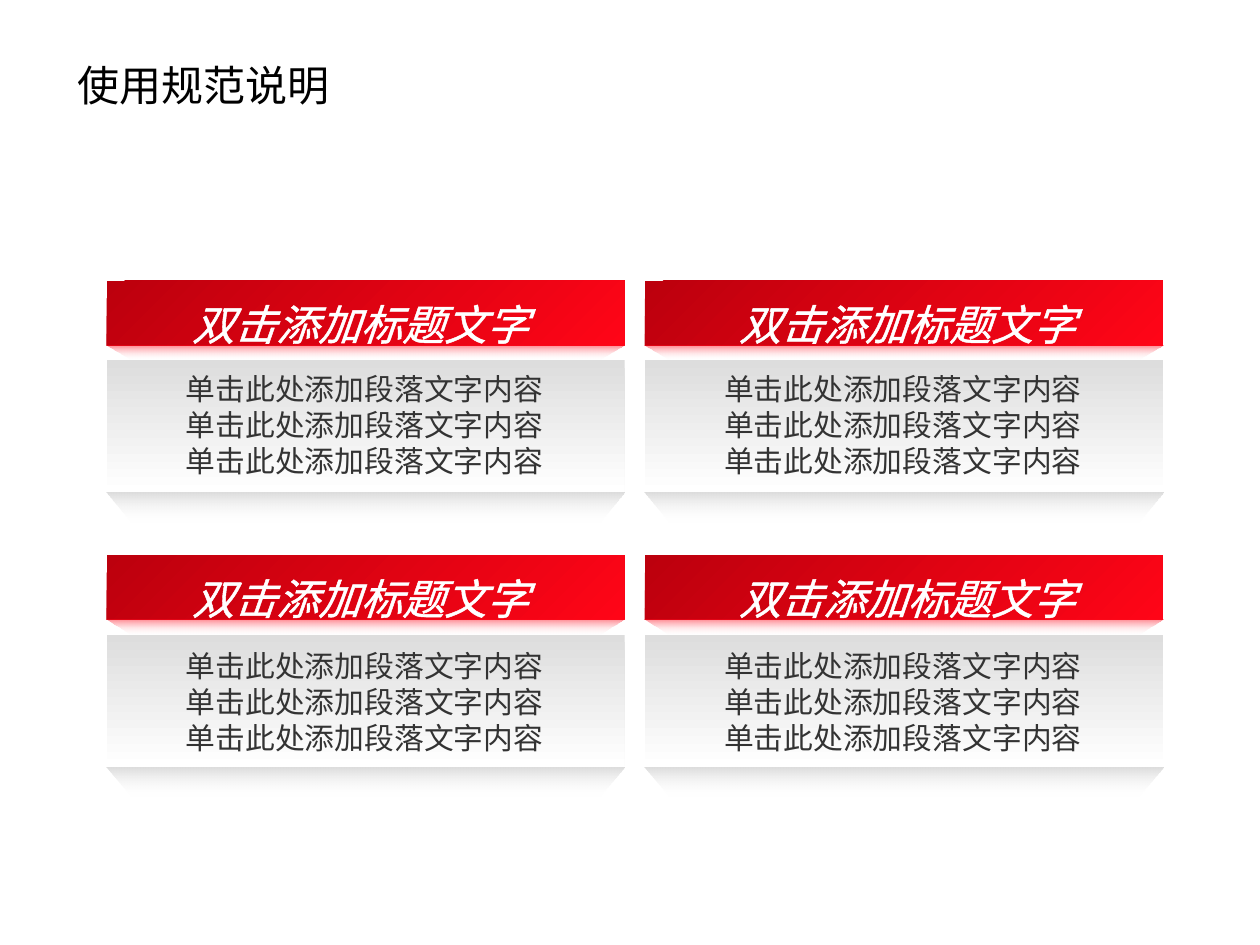
from lxml import etree
from pptx import Presentation
from pptx.dml.color import RGBColor
from pptx.enum import shapes, text
from pptx.oxml import ns
from pptx.util import Pt

CARD_W, HEADER_H, BODY_H = 296, 37, 75.8
BODY_TOP, EDGE = 45.4, 14.6
COLUMNS = [(61, 97.9), (368.6, 410.4)]  # card left, heading left
ROWS = [(160.5, 213.1), (317.2, 371.5)]  # card top, paragraph top
GREY, WHITE, RED, DARK_RED = "DDDDDD", "FFFFFF", "FF0517", "BC000D"
CJK = "Noto Sans CJK SC"


def color(value):
    return RGBColor.from_string(value)


def add_child(parent, tag, **attrs):
    return etree.SubElement(parent, ns.qn(tag), attrs)


def fill_gradient(sp, colors, angle, alphas=(100, 100)):
    """Fill from the first to the second colour, angle clockwise, alphas in percent."""
    sp.shadow.inherit = False
    sp.line.fill.background()
    sp.fill.gradient()
    sp.fill.gradient_angle = 360 - angle
    for stop, value, position in zip(sp.fill.gradient_stops, colors, (0, 1)):
        stop.color.rgb = color(value)
        stop.position = position
    for clr, alpha in zip(sp._element.spPr.iter(ns.qn("a:srgbClr")), alphas):
        if alpha < 100:
            add_child(clr, "a:alpha", val=str(alpha * 1000))


def add_panel(s, x, y, h, colors, angle):
    sp = s.shapes.add_shape(shapes.MSO_SHAPE.RECTANGLE,
                            Pt(x), Pt(y), Pt(CARD_W), Pt(h))
    fill_gradient(sp, colors, angle)


def add_reflection(s, x, y, h, value, alpha):
    """Trapezoid below a panel that fades out downwards."""
    right = x + CARD_W
    builder = s.shapes.build_freeform(Pt(x), Pt(y))
    builder.add_line_segments([(Pt(x + EDGE), Pt(y + h)),
                               (Pt(right - EDGE), Pt(y + h)),
                               (Pt(right), Pt(y))])
    fill_gradient(builder.convert_to_shape(), (value, WHITE), 90, (alpha, 0))


def add_rule(s, x, y):
    line = s.shapes.add_connector(shapes.MSO_CONNECTOR.STRAIGHT,
                                  Pt(x), Pt(y), Pt(x + CARD_W), Pt(y))
    line.line.color.rgb = color(WHITE)
    line.line.width = Pt(1.5)
    add_child(line._element.spPr, "a:effectLst")


def add_text(s, box, lines, size, value, font="Arial", align=text.PP_ALIGN.CENTER,
             anchor=text.MSO_ANCHOR.MIDDLE, wrap=True):
    tb = s.shapes.add_textbox(*map(Pt, box))
    tf = tb.text_frame
    tf.word_wrap = wrap
    tf.vertical_anchor = anchor
    tf.text = "\n".join(lines)
    for p in tf.paragraphs:
        p.alignment = align
        for r in p.runs:
            r.font.size = Pt(size)
            r.font.name = font
            r.font.color.rgb = color(value)
            add_child(r._r.get_or_add_rPr(), "a:ea", typeface=font)
    return tf


def add_heading(s, x, y):
    tf = add_text(s, (x, y, 216, 21.6), ["双击添加标题文字"], 24, WHITE, CJK,
                  anchor=text.MSO_ANCHOR.TOP, wrap=False)
    r = tf.paragraphs[0].runs[0]
    r.font.italic = True
    outline = etree.Element(ns.qn("a:ln"), w=str(Pt(0.75)))
    add_child(add_child(outline, "a:solidFill"), "a:srgbClr", val=WHITE)
    r._r.get_or_add_rPr().insert(0, outline)


def add_paragraphs(s, x, y):
    tf = add_text(s, (x, y, CARD_W, 59), ["单击此处添加段落文字内容"] * 3, 17, "333333")
    tf.margin_left = tf.margin_right = Pt(9.4)
    tf.margin_top = tf.margin_bottom = Pt(4.3)


def add_card(s, x, y):
    body_y = y + BODY_TOP
    bottom = body_y + BODY_H
    add_panel(s, x, body_y, BODY_H, (GREY, WHITE), 90)
    add_rule(s, x, bottom)
    add_reflection(s, x, bottom, 17, GREY, 100)
    add_panel(s, x, y, HEADER_H, (DARK_RED, RED), 45)
    add_reflection(s, x, y + HEADER_H, 8.2, RED, 50)


def main():
    prs = Presentation()
    prs.slide_width, prs.slide_height = Pt(720), Pt(540)
    s = prs.slides.add_slide(prs.slide_layouts[6])
    add_text(s, (37, 25.2, 459.4, 46.8), ["使用规范说明"], 24, "000000",
             align=text.PP_ALIGN.LEFT)
    for y, paragraph_y in ROWS:
        for x, heading_x in COLUMNS:
            add_card(s, x, y)
            add_heading(s, heading_x, y + 6.5)
            add_paragraphs(s, x - 0.6, paragraph_y)
    prs.save("out.pptx")


if __name__ == "__main__":
    main()
